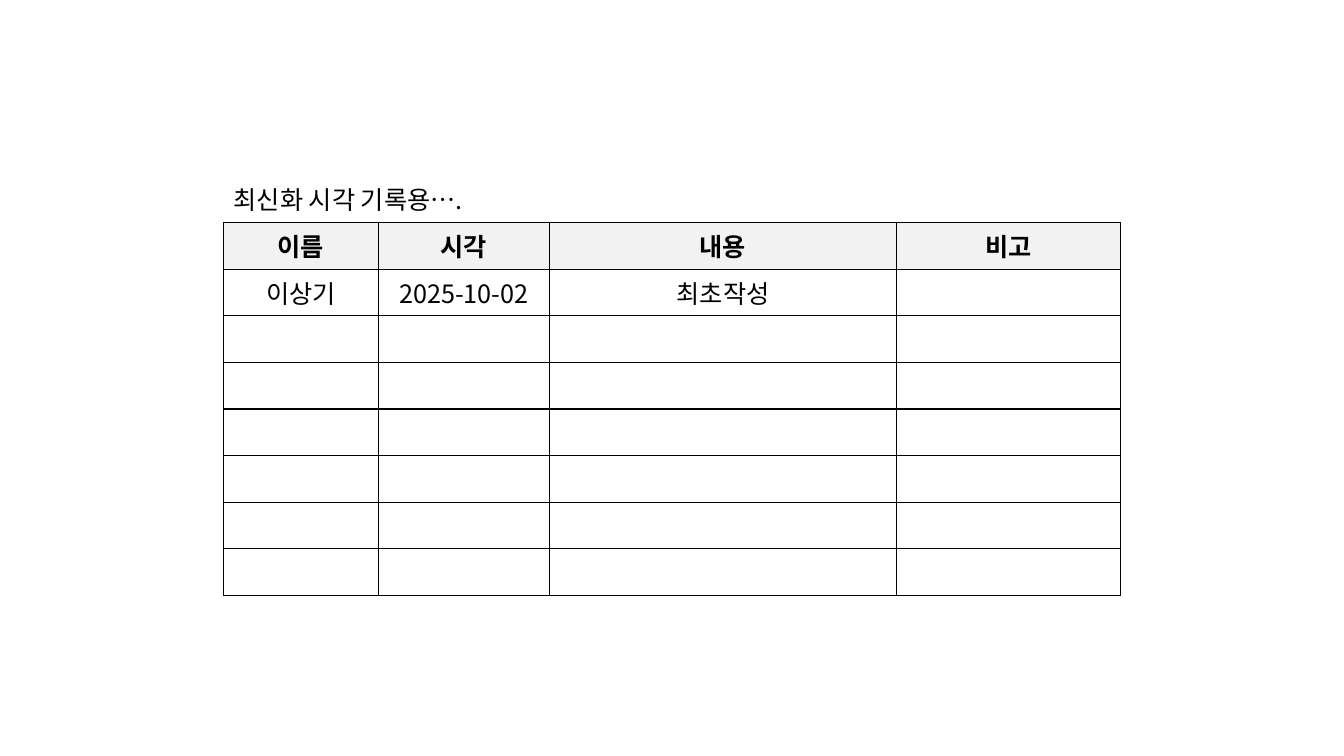
from lxml.etree import SubElement
from pptx import Presentation
from pptx.dml.color import RGBColor
from pptx.enum.text import MSO_AUTO_SIZE, PP_ALIGN
from pptx.oxml.ns import qn
from pptx.util import Cm, Pt

CAPTION = "최신화 시각 기록용…."
HEADERS = ("이름", "시각", "내용", "비고")
RECORDS = [("이상기", "2025-10-02", "최초작성", "")]
EMPTY_ROWS = 6
COLUMN_WIDTHS = (3.89, 4.32, 8.74, 5.64)
ROW_HEIGHT = 1.03
LEFT, CAPTION_TOP, TABLE_TOP = 5.64, 4.52, 5.61
FONT = "Noto Sans CJK KR"
FONT_SIZE = 18
COLORS = {"ink": "000000", "header": "F2F2F2"}


def set_typefaces(properties):
    for script in ("a:latin", "a:ea"):
        SubElement(properties, qn(script)).set("typeface", FONT)


def add_text(paragraph, text, bold=False):
    run = paragraph.add_run()
    run.text = text
    run.font.size = Pt(FONT_SIZE)
    run.font.bold = bold
    run.font.color.rgb = RGBColor.from_string(COLORS["ink"])
    set_typefaces(run.font._element)


def reserve_line(paragraph):
    properties = SubElement(paragraph._p, qn("a:endParaRPr"))
    properties.set("sz", str(FONT_SIZE * 100))
    set_typefaces(properties)


def add_borders(cell):
    properties = cell._tc.get_or_add_tcPr()
    for position, side in enumerate(("a:lnL", "a:lnR", "a:lnT", "a:lnB")):
        line = SubElement(properties, qn(side))
        line.set("w", str(Pt(1)))
        fill = SubElement(line, qn("a:solidFill"))
        SubElement(fill, qn("a:srgbClr")).set("val", COLORS["ink"])
        properties.insert(position, line)


def format_cell(cell, text, is_header):
    if is_header:
        cell.fill.solid()
        cell.fill.fore_color.rgb = RGBColor.from_string(COLORS["header"])
    else:
        cell.fill.background()
    add_borders(cell)
    paragraph = cell.text_frame.paragraphs[0]
    paragraph.alignment = PP_ALIGN.CENTER
    if text:
        add_text(paragraph, text, is_header)
    else:
        reserve_line(paragraph)


def add_history_table(slide):
    rows = [HEADERS, *RECORDS] + [("",) * len(HEADERS)] * EMPTY_ROWS
    table = slide.shapes.add_table(
        len(rows), len(HEADERS), Cm(LEFT), Cm(TABLE_TOP),
        Cm(sum(COLUMN_WIDTHS)), Cm(ROW_HEIGHT * len(rows))).table
    table.first_row = False
    table.horz_banding = False
    for column, width in zip(table.columns, COLUMN_WIDTHS):
        column.width = Cm(width)
    for row_index, texts in enumerate(rows):
        table.rows[row_index].height = Cm(ROW_HEIGHT)
        for column_index, text in enumerate(texts):
            format_cell(table.cell(row_index, column_index), text, row_index == 0)


def add_caption(slide):
    caption = slide.shapes.add_textbox(Cm(LEFT), Cm(CAPTION_TOP), Cm(6.71), Cm(1.02))
    caption.text_frame.word_wrap = False
    caption.text_frame.auto_size = MSO_AUTO_SIZE.SHAPE_TO_FIT_TEXT
    add_text(caption.text_frame.paragraphs[0], CAPTION)


def main():
    presentation = Presentation()
    presentation.slide_width = Cm(33.87)
    presentation.slide_height = Cm(19.05)
    slide = presentation.slides.add_slide(presentation.slide_layouts[6])
    add_history_table(slide)
    add_caption(slide)
    presentation.save("out.pptx")


if __name__ == "__main__":
    main()
